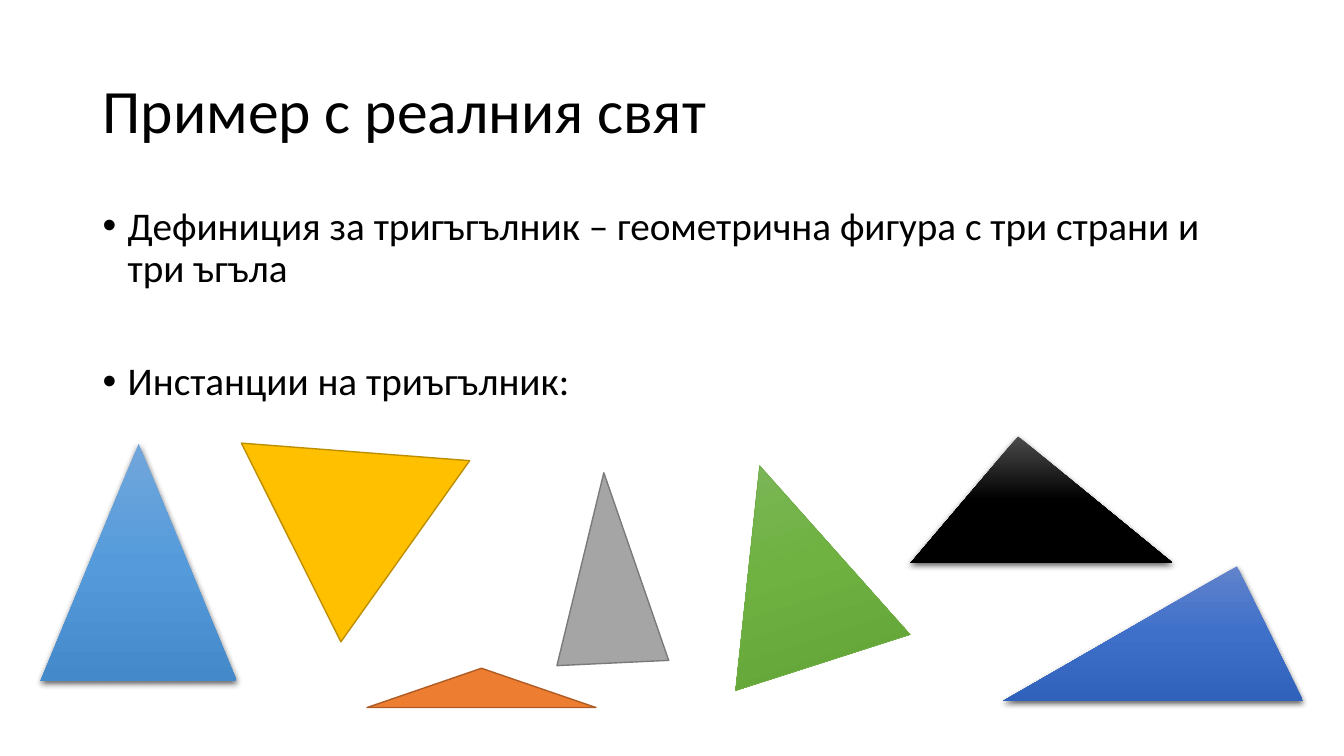
from copy import deepcopy

from lxml import etree
from pptx import Presentation
from pptx.dml.color import RGBColor
from pptx.enum.shapes import MSO_SHAPE
from pptx.enum.text import MSO_ANCHOR, MSO_AUTO_SIZE, PP_ALIGN
from pptx.oxml.ns import qn
from pptx.util import Cm, Pt

TRIANGLE = MSO_SHAPE.ISOSCELES_TRIANGLE
LEFT = PP_ALIGN.LEFT
MIDDLE = MSO_ANCHOR.MIDDLE
TOP = MSO_ANCHOR.TOP
NO_FIT = MSO_AUTO_SIZE.NONE

BLACK = RGBColor(0x00, 0x00, 0x00)
YELLOW = RGBColor(0xFF, 0xC0, 0x00)
DARK_YELLOW = RGBColor(0xBD, 0x8E, 0x00)
ORANGE = RGBColor(0xED, 0x7D, 0x31)
DARK_ORANGE = RGBColor(0xAF, 0x5C, 0x24)
GRAY = RGBColor(0xA5, 0xA5, 0xA5)
DARK_GRAY = RGBColor(0x7A, 0x7A, 0x7A)
GREEN = RGBColor(0x70, 0xAD, 0x47)
SKY_BLEND = (RGBColor(0x71, 0xA6, 0xDB), RGBColor(0x55, 0x9B, 0xDB), RGBColor(0x44, 0x8A, 0xCA))
BLUE_BLEND = (RGBColor(0x61, 0x83, 0xCB), RGBColor(0x3E, 0x70, 0xCA), RGBColor(0x30, 0x62, 0xBB))
BLACK_BLEND = (RGBColor(0x4B, 0x4B, 0x4B), BLACK, BLACK)
GREEN_BLEND = (RGBColor(0x81, 0xB8, 0x61), RGBColor(0x6F, 0xB2, 0x42), RGBColor(0x62, 0xA3, 0x36))

TITLE = "Пример с реалния свят"
DEFINITION = "Дефиниция за тригъгълник – геометрична фигура с три страни и три ъгъла"
INSTANCES = "Инстанции на триъгълник:"


def set_values(target, values):
    for name, value in values.items():
        setattr(target, name, value)


def place(box, left, top, width, height):
    set_values(box, {"left": Cm(left), "top": Cm(top), "width": Cm(width), "height": Cm(height)})


def write_para(para, text, size, space_before):
    set_values(para, {"alignment": LEFT, "line_spacing": 0.9, "space_before": Pt(space_before)})
    span = para.add_run()
    span.text = text
    set_values(span.font, {"name": "Calibri", "size": Pt(size)})
    span.font.color.rgb = BLACK


def add_bullet(para):
    properties = para._p.get_or_add_pPr()
    properties.set("marL", str(Cm(0.635)))
    properties.set("indent", str(-Cm(0.635)))
    etree.SubElement(properties, qn("a:buChar")).set("char", "•")


def fill_title(box):
    place(box, 2.33, 1.01, 29.21, 3.68)
    set_values(box.text_frame, {"auto_size": NO_FIT, "vertical_anchor": MIDDLE})
    write_para(box.text_frame.paragraphs[0], TITLE, 44, 0)


def fill_body(box):
    place(box, 2.33, 5.07, 29.21, 12.09)
    frame = box.text_frame
    set_values(frame, {"auto_size": NO_FIT, "vertical_anchor": TOP})
    paras = (frame.paragraphs[0], frame.add_paragraph())
    for para, text, space in zip(paras, (DEFINITION, INSTANCES), (10, 50.7)):
        write_para(para, text, 28, space)
        add_bullet(para)


def blend_down(shape, colors):
    shape.fill.gradient()
    shape.fill.gradient_angle = 270
    first_stop = next(shape._element.spPr.iter(qn("a:gs")))
    first_stop.addnext(deepcopy(first_stop))
    for stop, position, color in zip(shape.fill.gradient_stops, (0, 0.5, 1), colors):
        stop.position = position
        stop.color.rgb = color


def cast_shadow(shape):
    effects = shape._element.spPr.find(qn("a:effectLst"))
    shadow = etree.SubElement(effects, qn("a:outerShdw"))
    for name, value in {"blurRad": Pt(4.5), "dist": Pt(1.5), "dir": 5400000,
                        "algn": "ctr", "rotWithShape": 0}.items():
        shadow.set(name, str(value))
    color = etree.SubElement(shadow, qn("a:srgbClr"))
    color.set("val", str(BLACK))
    etree.SubElement(color, qn("a:alpha")).set("val", "63000")


def add_triangle(page, bounds, paint, line=None, line_width=1, rotation=0, apex=0.5):
    shape = page.shapes.add_shape(TRIANGLE, *(Cm(length) for length in bounds))
    shape.rotation = rotation
    shape.adjustments[0] = apex
    shape.shadow.inherit = False
    if isinstance(paint, RGBColor):
        shape.fill.solid()
        shape.fill.fore_color.rgb = paint
    else:
        blend_down(shape, paint)
    if line is None:
        shape.line.fill.background()
        cast_shadow(shape)
    else:
        shape.line.color.rgb = line
        shape.line.width = Pt(line_width)


def main():
    deck = Presentation()
    set_values(deck, {"slide_width": Cm(33.87), "slide_height": Cm(19.05)})
    page = deck.slides.add_slide(deck.slide_layouts[1])
    fill_title(page.shapes.title)
    fill_body(page.placeholders[1])
    add_triangle(page, (1.02, 11.18, 4.95, 5.99), SKY_BLEND)
    add_triangle(page, (5.89, 11.38, 5.77, 4.8), YELLOW, DARK_YELLOW, rotation=184.4)
    add_triangle(page, (25.27, 14.27, 7.57, 3.4), BLUE_BLEND, apex=0.78)
    add_triangle(page, (22.94, 11, 6.63, 3.2), BLACK_BLEND, apex=0.41)
    add_triangle(page, (9.25, 16.84, 5.77, 0.99), ORANGE, DARK_ORANGE)
    add_triangle(page, (17.63, 11.61, 4.62, 5.21), GREEN_BLEND, GREEN, 0.5, rotation=342.2)
    add_triangle(page, (13.92, 11.91, 2.82, 4.8), GRAY, DARK_GRAY, rotation=357.3)
    deck.save("out.pptx")


if __name__ == "__main__":
    main()
